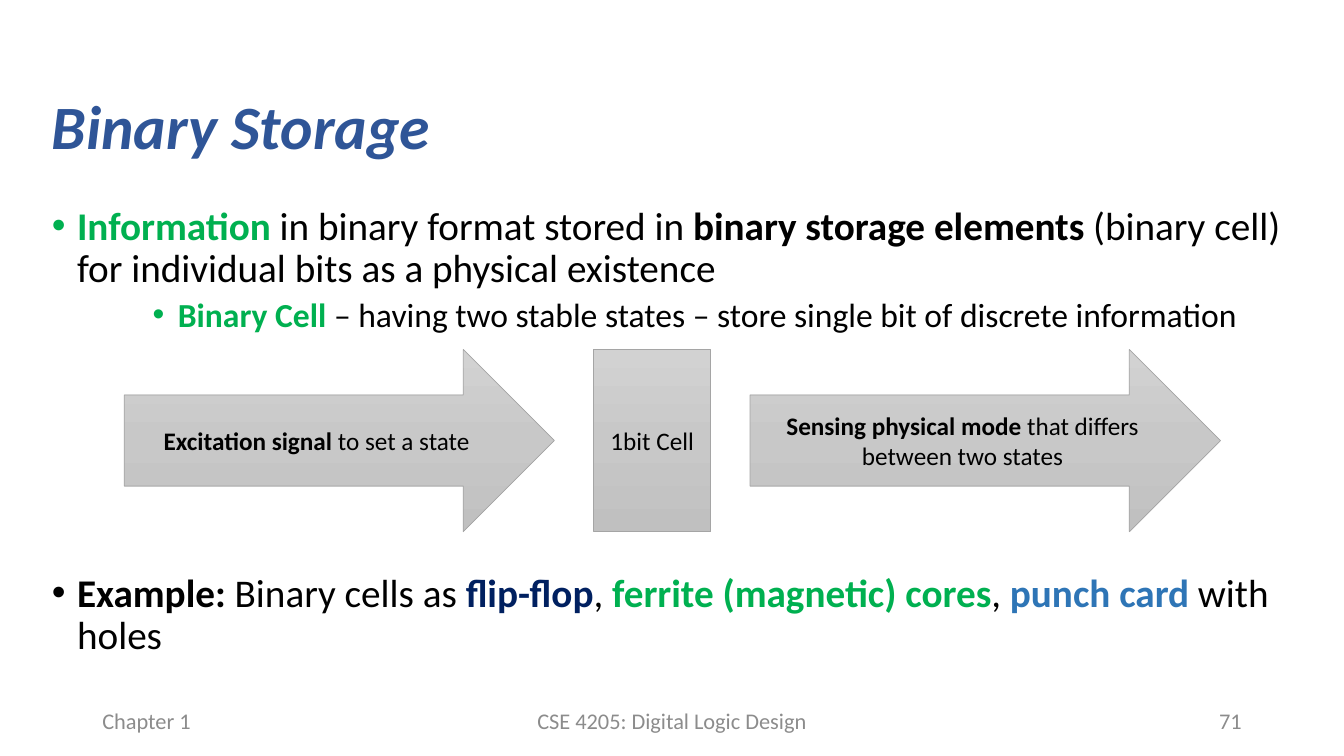
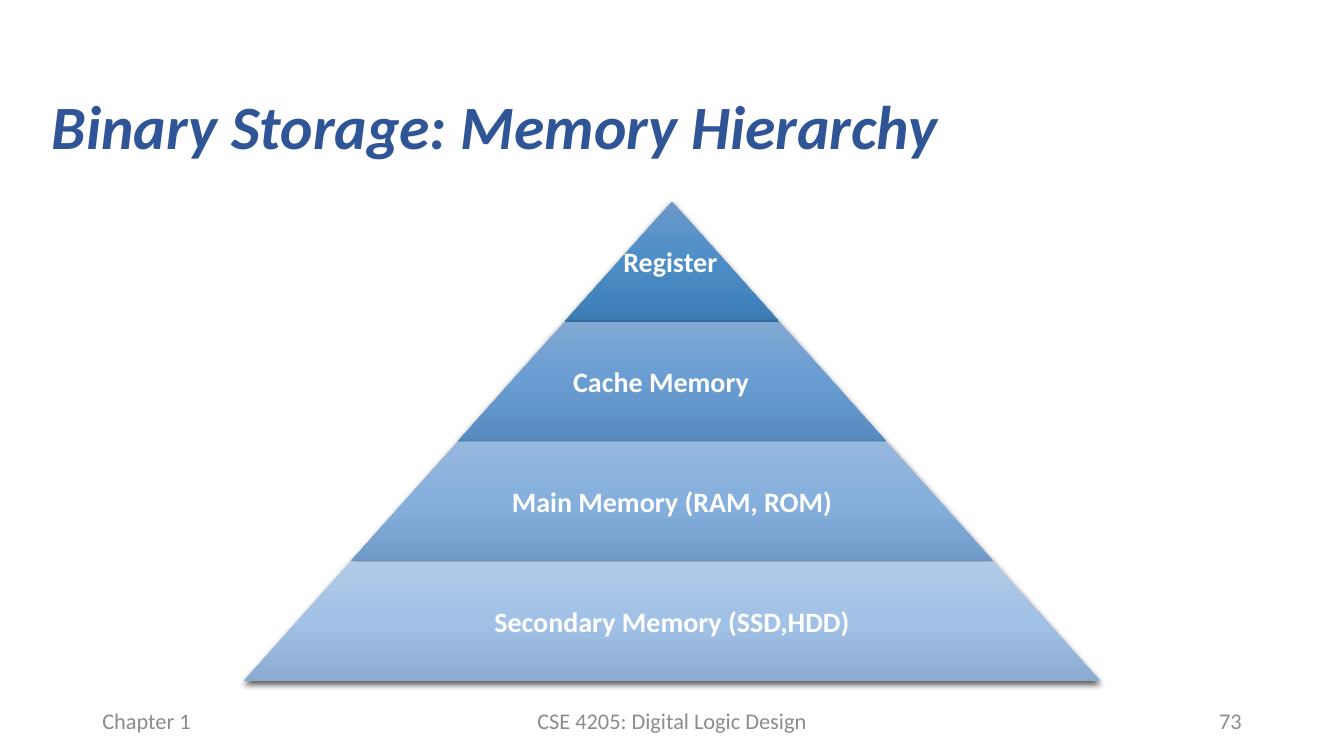
from pptx import Presentation
from pptx.dml.color import RGBColor
from pptx.enum.shapes import MSO_SHAPE
from pptx.enum.text import MSO_ANCHOR, PP_ALIGN
from pptx.oxml import parse_xml
from pptx.oxml.ns import nsdecls
from pptx.util import Inches, Pt

# Grid of the slide: 160 columns by 90 rows
COLS, ROWS = 160, 90

BLACK, WHITE, GREY = "000000", "FFFFFF", "8C8C8C"
BLUE, GREEN, NAVY, SKY = "2F5597", "00B050", "002060", "2E75B6"
STEEL = ["D2D2D2", "C8C8C8", "C0C0C0"]
EDGE = "A5A5A5"


def tint(code):
    return RGBColor.from_string(code)


class Deck:
    font = "Calibri"

    def __init__(self):
        self.file = Presentation()
        self.file.slide_width = Inches(13.333)
        self.file.slide_height = Inches(7.5)
        self.slide = None

    def place(self, x, y, w, h):
        """Turn grid columns and rows into lengths."""
        col = self.file.slide_width / COLS
        row = self.file.slide_height / ROWS
        return [int(n) for n in (x * col, y * row, w * col, h * row)]

    def page(self, title, number):
        """Start a slide with its title and footer."""
        self.slide = self.file.slides.add_slide(self.file.slide_layouts[6])
        head = self.label(5, 6.8, 142.5, 17.2, title, 44, BLUE,
                          PP_ALIGN.LEFT, bold=True)
        line = head.text_frame.paragraphs[0]
        line.line_spacing = 0.9
        line.runs[0].font.italic = True
        for x, w, text, align in [
                (11, 36, "Chapter 1", PP_ALIGN.LEFT),
                (53, 54, "CSE 4205: Digital Logic Design", PP_ALIGN.CENTER),
                (113, 36, number, PP_ALIGN.RIGHT)]:
            self.label(x, 83.4, w, 4.8, text, 16, GREY, align)

    def fill(self, par, parts, size):
        """Fill a paragraph with parts of (text, colour, bold)."""
        for text, color, bold in parts:
            run = par.add_run()
            run.text = text
            run.font.name = self.font
            run.font.size = Pt(size)
            run.font.bold = bold
            run.font.color.rgb = tint(color)

    def label(self, x, y, w, h, text, size, color,
              align=PP_ALIGN.CENTER, bold=False):
        """One line of text, centred in height."""
        box = self.slide.shapes.add_textbox(*self.place(x, y, w, h))
        frame = box.text_frame
        frame.word_wrap = True
        frame.vertical_anchor = MSO_ANCHOR.MIDDLE
        par = frame.paragraphs[0]
        par.alignment = align
        self.fill(par, [(text, color, bold)], size)
        return box

    def points(self, x, y, w, h, items):
        """Bulleted text; items are (indent in inches, size, gap, parts)."""
        box = self.slide.shapes.add_textbox(*self.place(x, y, w, h))
        frame = box.text_frame
        frame.word_wrap = True
        for i, (indent, size, gap, parts) in enumerate(items):
            par = frame.add_paragraph() if i else frame.paragraphs[0]
            props = par._p.get_or_add_pPr()
            props.set("marL", str(Inches(indent)))
            props.set("indent", str(Inches(-0.25)))
            props.append(parse_xml(
                f'<a:buFont {nsdecls("a")} typeface="Arial"/>'))
            props.append(parse_xml(f'<a:buChar {nsdecls("a")} char="•"/>'))
            par.line_spacing = 0.9
            par.space_before = Pt(gap)
            self.fill(par, parts, size)

    def block(self, kind, x, y, w, h, fade, edge=None):
        """A preset shape with a fill that fades from top to bottom."""
        shape = self.slide.shapes.add_shape(kind, *self.place(x, y, w, h))
        stops = "".join(
            f'<a:gs pos="{i * 50000}"><a:srgbClr val="{code}"/></a:gs>'
            for i, code in enumerate(fade))
        shape._element.spPr.append(parse_xml(
            f'<a:gradFill {nsdecls("a")} rotWithShape="1"><a:gsLst>{stops}'
            '</a:gsLst><a:lin ang="5400000" scaled="0"/></a:gradFill>'))
        if edge:
            shape.line.color.rgb = tint(edge)
            shape.line.width = Pt(0.5)
        else:
            shape.line.fill.background()
        shape.shadow.inherit = False
        return shape

    def step(self, kind, x, y, w, h, parts):
        """A grey block with centred text."""
        frame = self.block(kind, x, y, w, h, STEEL, EDGE).text_frame
        frame.word_wrap = True
        frame.vertical_anchor = MSO_ANCHOR.MIDDLE
        par = frame.paragraphs[0]
        par.alignment = PP_ALIGN.CENTER
        self.fill(par, parts, 18)

    def tier(self, x, y, w, h, slope, fade):
        """A layer of the pyramid with a soft shadow."""
        shape = self.block(MSO_SHAPE.TRAPEZOID, x, y, w, h, fade)
        shape.adjustments[0] = slope
        effect = shape._element.spPr.find(
            "{http://schemas.openxmlformats.org/drawingml/2006/main}effectLst")
        effect.append(parse_xml(
            f'<a:outerShdw {nsdecls("a")} blurRad="{Pt(4.5)}" '
            f'dist="{Pt(1.5)}" dir="5400000" algn="ctr" rotWithShape="0">'
            '<a:srgbClr val="000000"><a:alpha val="63000"/></a:srgbClr>'
            '</a:outerShdw>'))


def cells(deck):
    deck.page("Binary Storage", "71")
    # Bullets above and below the diagram
    deck.points(5, 24, 150, 17, [
        (0.25, 28, 0, [
            ("Information ", GREEN, True),
            ("in binary format stored in ", BLACK, False),
            ("binary storage elements", BLACK, True),
            (" (binary cell) for individual bits as a physical existence",
             BLACK, False)]),
        (1.25, 24, 5, [
            ("Binary Cell", GREEN, True),
            (" – having two stable states – store single bit of discrete "
             "information", BLACK, False)])])
    deck.points(5, 67.7, 150, 13, [
        (0.25, 28, 0, [
            ("Example: ", BLACK, True),
            ("Binary cells as ", BLACK, False),
            ("flip-flop", NAVY, True),
            (", ", BLACK, False),
            ("ferrite (magnetic) cores", GREEN, True),
            (", ", BLACK, False),
            ("punch card ", SKY, True),
            ("with holes", BLACK, False)])])
    # Signal, cell and sensing in a row with equal gaps
    x, gap = 14.8, 4.7
    for kind, w, parts in [
            (MSO_SHAPE.RIGHT_ARROW, 51.2, [
                ("Excitation signal", BLACK, True),
                (" to set a state", BLACK, False)]),
            (MSO_SHAPE.RECTANGLE, 13.9, [("1bit Cell", BLACK, False)]),
            (MSO_SHAPE.RIGHT_ARROW, 56, [
                ("Sensing physical mode ", BLACK, True),
                ("that differs between two states", BLACK, False)])]:
        deck.step(kind, x, 41.6, w, 21.7, parts)
        x += w + gap


def levels(deck):
    deck.page("Binary Storage: Memory Hierarchy", "73")
    # Pyramid: each tier is wider than the one above by the same amount
    mid, top, high, grow = 80, 24, 14.28, 25.5
    tiers = [
        ("Register", -0.2, ["6B99C9", "4D8DC7", "3E7EB7"]),
        ("Cache Memory", -1.3, ["80A8D3", "699DD2", "578CC0"]),
        ("Main Memory (RAM, ROM)", 0, ["97B8DE", "85AFDC", "719BC9"]),
        ("Secondary Memory (SSD,HDD)", 0, ["B1C9E7", "A2C1E6", "8CABD1"])]
    for i, (text, shift, fade) in enumerate(tiers):
        wide, y = grow * (i + 1), top + high * i
        deck.tier(mid - wide / 2, y, wide, high, grow / 2 / high, fade)
        deck.label(mid - wide / 2 + shift, y, wide, high, text, 20, WHITE,
                   bold=True)


def main():
    deck = Deck()
    cells(deck)
    levels(deck)
    deck.file.save("out.pptx")


if __name__ == "__main__":
    main()
